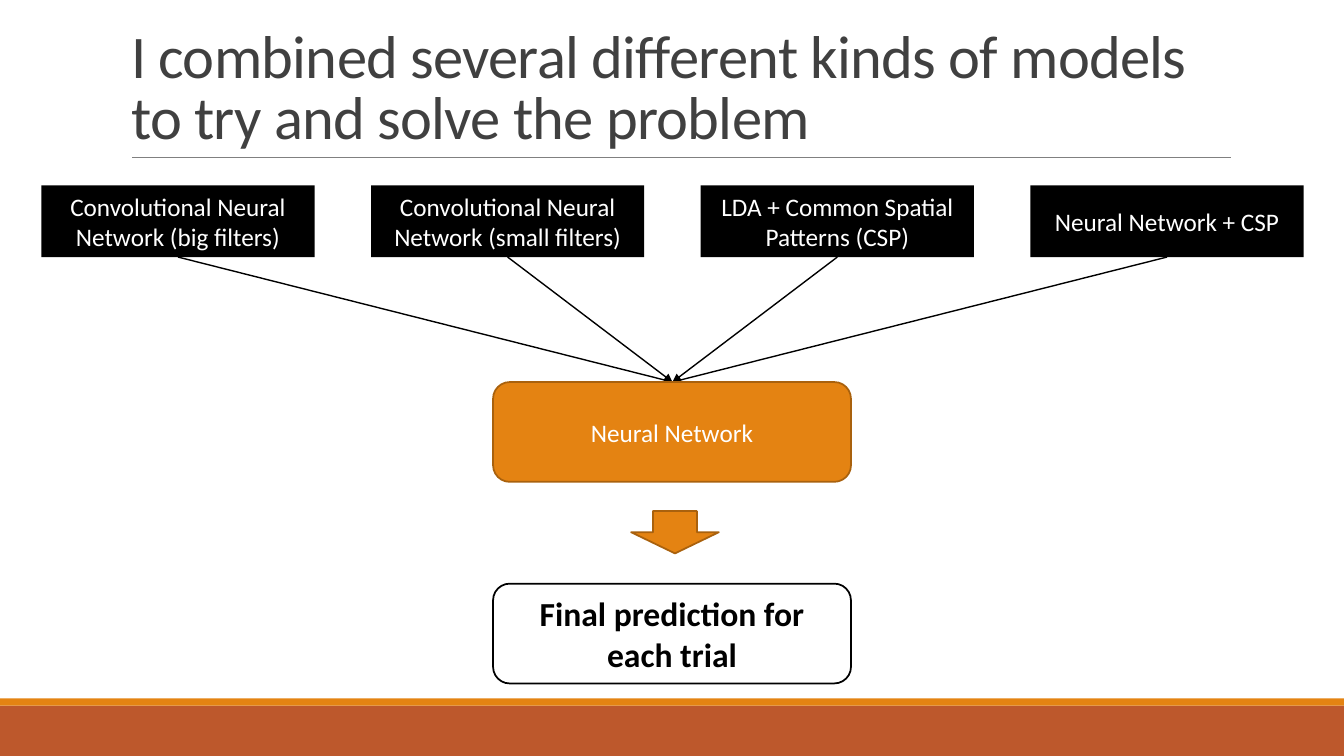
from lxml.etree import SubElement
from pptx import Presentation
from pptx.dml.color import RGBColor
from pptx.enum.shapes import MSO_CONNECTOR, MSO_SHAPE
from pptx.enum.text import MSO_ANCHOR, MSO_AUTO_SIZE, PP_ALIGN
from pptx.oxml.ns import qn
from pptx.util import Inches, Pt

COLORS = {
    "title": "404040", "rule": "808080", "black": "000000", "white": "FFFFFF",
    "orange": "E48312", "outline": "A9610D", "rust": "BD582C",
}
MODELS = [
    "Convolutional Neural Network (big filters)",
    "Convolutional Neural Network (small filters)",
    "LDA + Common Spatial Patterns (CSP)",
    "Neural Network + CSP",
]


def color(name):
    return RGBColor.from_string(COLORS[name])


def inches(box):
    return [Inches(length) for length in box]


def apply_format(target, values):
    for name, value in values.items():
        setattr(target, name, value)


def write_text(shape, text, size, font_color, bold=False,
               align=PP_ALIGN.CENTER, anchor=MSO_ANCHOR.MIDDLE):
    frame = shape.text_frame
    apply_format(frame, {"text": text, "word_wrap": True, "vertical_anchor": anchor,
                         "auto_size": MSO_AUTO_SIZE.NONE})
    paragraph = frame.paragraphs[0]
    paragraph.alignment = align
    font = paragraph.runs[0].font
    apply_format(font, {"name": "Calibri", "size": Pt(size), "bold": bold})
    font.color.rgb = color(font_color)
    return paragraph


def add_block(slide, kind, box, fill=None, outline=None):
    shape = slide.shapes.add_shape(kind, *inches(box))
    shape.shadow.inherit = False
    if fill:
        shape.fill.solid()
        shape.fill.fore_color.rgb = color(fill)
    else:
        shape.fill.background()
    if outline:
        shape.line.color.rgb = color(outline)
        shape.line.width = Pt(1.25)
    else:
        shape.line.fill.background()
    return shape


def add_line(slide, start, end, line_color, width, arrow=False):
    connector = slide.shapes.add_connector(MSO_CONNECTOR.STRAIGHT, *inches(start + end))
    connector.line.color.rgb = color(line_color)
    connector.line.width = Pt(width)
    if arrow:
        SubElement(connector.line._get_or_add_ln(), qn("a:tailEnd"), type="triangle")
    SubElement(connector._element.spPr, qn("a:effectLst"))


def add_footer_bands(slide, box):
    left, top, width, height = box
    stripe = 0.07
    add_block(slide, MSO_SHAPE.RECTANGLE, (left, top + stripe, width, height - stripe), "rust")
    add_block(slide, MSO_SHAPE.RECTANGLE, (left, top, width, stripe), "orange")


def add_title(slide, box):
    left, top, width, height = box
    bottom = top + height
    add_line(slide, (left + 0.11, bottom), (left + width + 0.01, bottom), "rule", 0.5)
    title = slide.shapes.title
    apply_format(title, dict(zip(("left", "top", "width", "height"), inches(box))))
    paragraph = write_text(
        title, "I combined several different kinds of models to try and solve the problem",
        43.2, "title", align=PP_ALIGN.LEFT, anchor=MSO_ANCHOR.BOTTOM)
    paragraph.line_spacing = 0.85
    paragraph.runs[0].font._element.set("spc", "-50")


def add_models(slide, box, target):
    left, top, width, height = box
    block_width = 2.71
    step = (width - block_width) / (len(MODELS) - 1)
    for index, model in enumerate(MODELS):
        block_left = left + index * step
        block = add_block(slide, MSO_SHAPE.RECTANGLE,
                          (block_left, top, block_width, height), "black")
        write_text(block, model, 18, "white")
        add_line(slide, (block_left + block_width / 2, top + height), target, "black", 1, True)


def add_result_flow(slide, box):
    left, top, width, height = box
    block_height = 0.99
    network = add_block(slide, MSO_SHAPE.ROUNDED_RECTANGLE,
                        (left, top, width, block_height), "orange", "outline")
    write_text(network, "Neural Network", 18, "white")
    add_block(slide, MSO_SHAPE.DOWN_ARROW, (left + 1.37, top + 1.28, 0.87, 0.42),
              "orange", "outline")
    prediction = add_block(slide, MSO_SHAPE.ROUNDED_RECTANGLE,
                           (left, top + height - block_height, width, block_height),
                           outline="black")
    write_text(prediction, "Final prediction for each trial", 24, "black", bold=True)


def main():
    presentation = Presentation()
    apply_format(presentation, {"slide_width": Inches(13.33), "slide_height": Inches(7.5)})
    slide = presentation.slides.add_slide(presentation.slide_layouts[5])
    add_footer_bands(slide, (0, 6.93, 13.33, 0.57))
    add_title(slide, (1.2, 0.2, 11, 1.36))
    add_models(slide, (0.41, 1.84, 12.52, 0.71), (6.67, 3.79))
    add_result_flow(slide, (4.89, 3.79, 3.55, 2.99))
    presentation.save("out.pptx")


if __name__ == "__main__":
    main()
